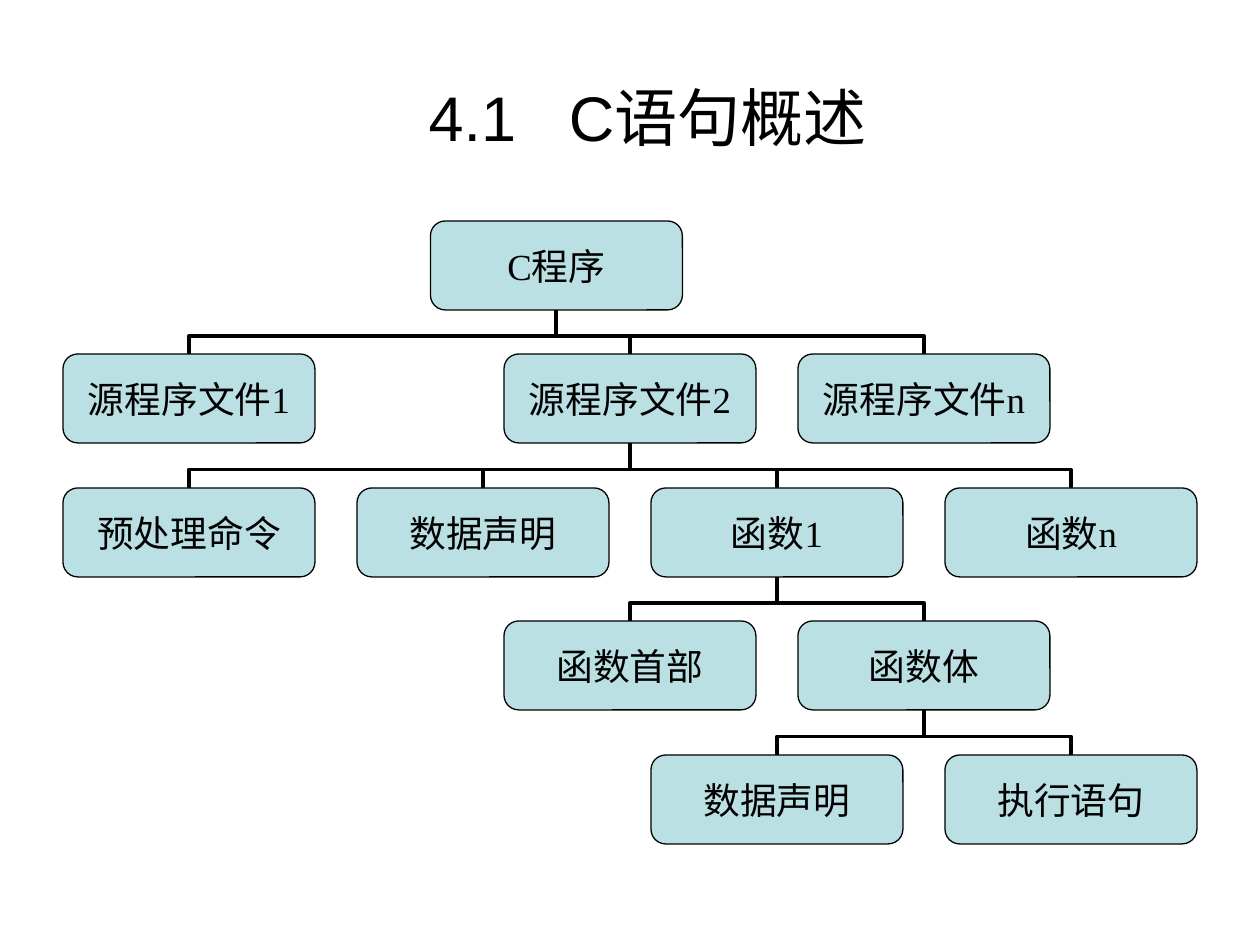
"""Build a slide with the tree of parts that make up a C program."""
from lxml import etree
from pptx import Presentation
from pptx import util as u
from pptx.dml.color import RGBColor
from pptx.enum import shapes, text
from pptx.oxml import ns

SCALE = 914400 // 126
BOX_WIDTH, BOX_HEIGHT = 252, 89
LEFT, HALF_COLUMN = 63, 147
TOP, TWO_ROWS = 221, 267
INK, BOX_FILL = "000000", "BBE0E3"

PROGRAM_TREE = ("C程序", 2.5, [
    ("源程序文件1", 0, []),
    ("源程序文件2", 3, [
        ("预处理命令", 0, []),
        ("数据声明", 2, []),
        ("函数1", 4, [
            ("函数首部", 3, []),
            ("函数体", 5, [
                ("数据声明", 4, []),
                ("执行语句", 6, []),
            ]),
        ]),
        ("函数n", 6, []),
    ]),
    ("源程序文件n", 5, []),
])


def px(length):
    """Turn pixels into EMU."""
    return u.Emu(round(length * SCALE))


def color(value):
    """Turn a hex string into a colour."""
    return RGBColor.from_string(value)


def write_text(shape, words, size, font, left=0, wrap=False, gap=0):
    """Centre words in a shape, widening the spaces between them by gap points."""
    frame = shape.text_frame
    frame.word_wrap = wrap
    frame.vertical_anchor = text.MSO_ANCHOR.MIDDLE
    frame.margin_left = px(left)
    frame.margin_right = frame.margin_top = frame.margin_bottom = 0
    paragraph = frame.paragraphs[0]
    paragraph.alignment = text.PP_ALIGN.CENTER
    for piece in filter(None, words.partition(" ")):
        run = paragraph.add_run()
        run.text = piece
        run.font.size = u.Pt(size)
        run.font.name = font
        run.font.color.rgb = color(INK)
        if piece == " ":
            run.font._element.set("spc", str(gap * 100))


def add_title(slide, words):
    """Add the slide title."""
    box = slide.shapes.add_textbox(px(63), px(38), px(1134), px(157))
    write_text(box, words, 36, "Arial", left=35, wrap=True, gap=20)


def box_position(column, row):
    """Give the left and top of a box on the grid."""
    return LEFT + column * HALF_COLUMN, TOP + row * TWO_ROWS // 2


def add_box(slide, label, column, row):
    """Add one labelled box of the tree."""
    left, top = box_position(column, row)
    box = slide.shapes.add_shape(shapes.MSO_SHAPE.ROUNDED_RECTANGLE,
                                 px(left), px(top), px(BOX_WIDTH), px(BOX_HEIGHT))
    box.shadow.inherit = False
    box.fill.solid()
    box.fill.fore_color.rgb = color(BOX_FILL)
    box.line.color.rgb = color(INK)
    box.line.width = u.Pt(0.75)
    write_text(box, label, 21, "Times New Roman")


def add_branch(slide, parent_column, child_column, child_row):
    """Join the top of a child to the bottom of its parent with a turned elbow."""
    parent_left, parent_top = box_position(parent_column, child_row - 1)
    child_left, child_top = box_position(child_column, child_row)
    parent_bottom = parent_top + BOX_HEIGHT
    middle_x = (parent_left + child_left + BOX_WIDTH) / 2
    middle_y = (parent_bottom + child_top) / 2
    side = 1 if child_left < parent_left else -1
    reach_x = side * (child_top - parent_bottom) / 2
    reach_y = abs(parent_left - child_left) / 2
    branch = slide.shapes.add_connector(
        shapes.MSO_CONNECTOR.ELBOW,
        px(middle_x + reach_x), px(middle_y + reach_y),
        px(middle_x - reach_x), px(middle_y - reach_y))
    branch.line.color.rgb = color(INK)
    branch.line.width = u.Pt(2.25)
    properties = branch._element.spPr
    turn = 90 if side > 0 else 270
    properties.find(ns.qn("a:xfrm")).set("rot", str(turn * 60000))
    guides = properties.find(ns.qn("a:prstGeom")).find(ns.qn("a:avLst"))
    etree.SubElement(guides, ns.qn("a:gd"), name="adj1", fmla="val 41000")
    etree.SubElement(properties, ns.qn("a:effectLst"))


def add_branches(slide, node, row=0):
    """Add all branches below a node."""
    _, column, children = node
    for child in children:
        add_branch(slide, column, child[1], row + 1)
        add_branches(slide, child, row + 1)


def add_boxes(slide, node, row=0):
    """Add the box of a node and all boxes below it."""
    label, column, children = node
    add_box(slide, label, column, row)
    for child in children:
        add_boxes(slide, child, row + 1)


def main():
    """Build and save the presentation."""
    presentation = Presentation()
    presentation.slide_width, presentation.slide_height = px(1260), px(945)
    slide = presentation.slides.add_slide(presentation.slide_layouts[6])
    add_title(slide, "4.1 C语句概述")
    add_branches(slide, PROGRAM_TREE)
    add_boxes(slide, PROGRAM_TREE)
    presentation.save("out.pptx")


if __name__ == "__main__":
    main()
